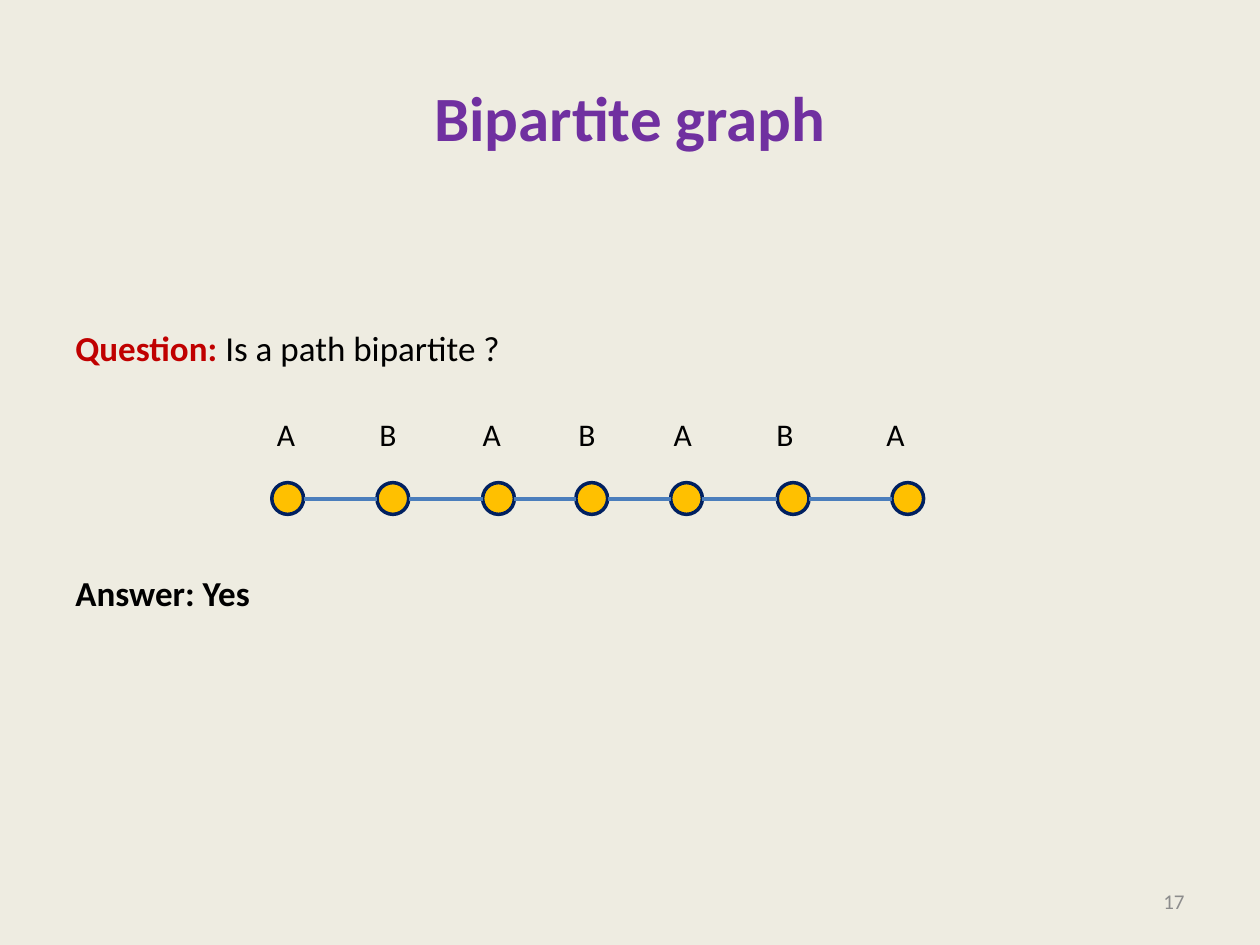
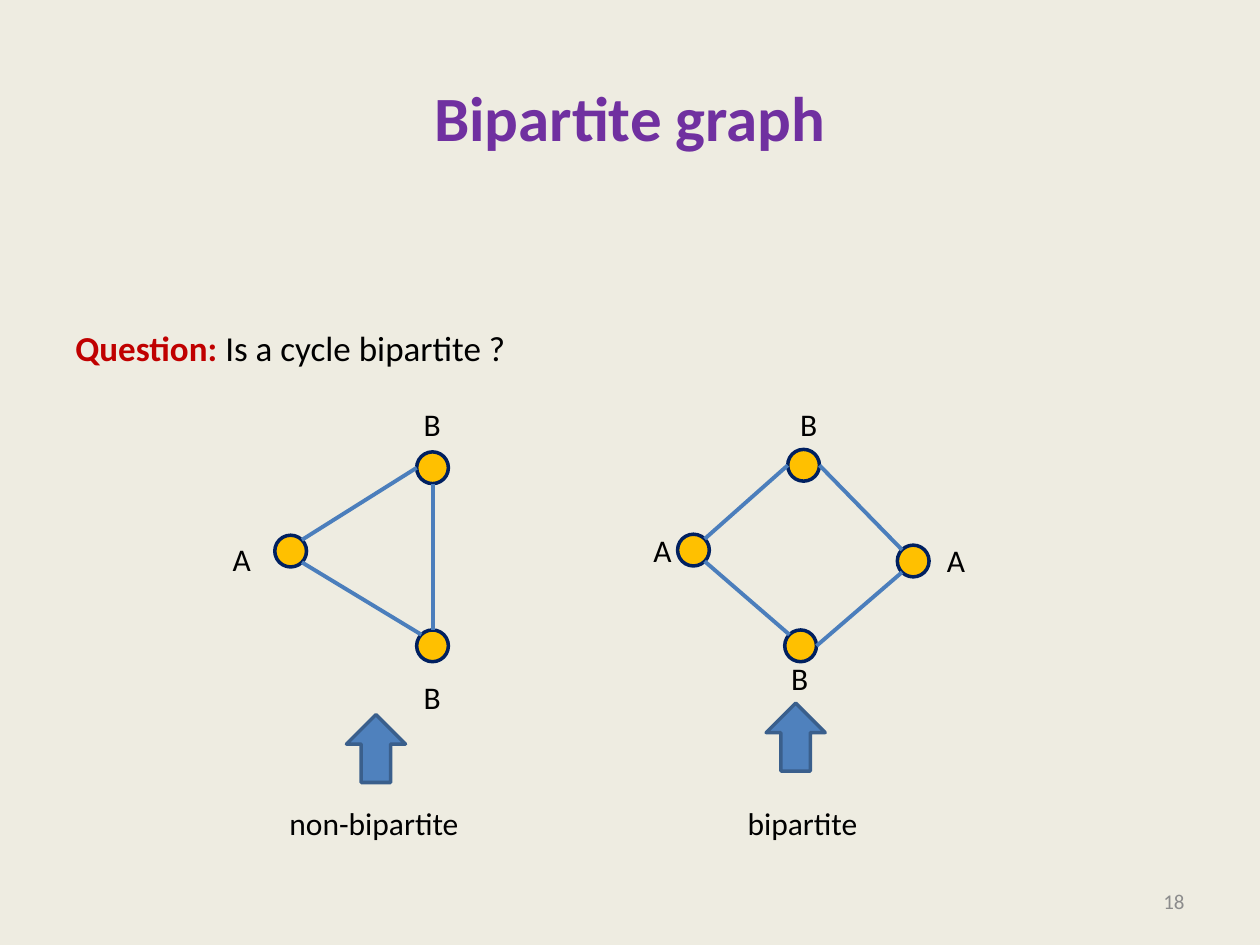
from math import cos, pi, sin

from lxml.etree import SubElement
from pptx import Presentation
from pptx.dml.color import RGBColor
from pptx.enum.shapes import MSO_CONNECTOR, MSO_SHAPE
from pptx.enum.text import MSO_ANCHOR, PP_ALIGN
from pptx.oxml.ns import qn
from pptx.util import Cm, Pt

# Shared style
FONT = "Calibri"
BACKGROUND, TITLE_COLOR, TEXT_COLOR = "EEECE1", "7030A0", "000000"
QUESTION_COLOR, NUMBER_COLOR = "C00000", "8C8C8C"
NODE_FILL, NODE_LINE, EDGE_COLOR = "FFC000", "002060", "4B7EBC"
ARROW_FILL, ARROW_LINE = "4F81BD", "3A5F8C"
NODE_SIZE, LABEL_HEIGHT = 0.64, 1.02
ARROW_WIDTH, ARROW_HEIGHT = 1.19, 1.37
TEXT_LEFT, TEXT_WIDTH = 1.27, 22.86

# Connection sites of an ellipse, counted anticlockwise from the top
TOP, TOP_LEFT, LEFT, BOTTOM_LEFT, BOTTOM, BOTTOM_RIGHT, RIGHT, TOP_RIGHT = range(8)

# Content: nodes and labels by centre in cm; edges as (node, site, node, site)
PATH_Y, PATH_LABEL_Y = 10.05, 8.76
PATH_NODES = [5.8, 7.92, 10.05, 11.93, 13.84, 15.99, 18.3]
PATH_LABELS = [5.73, 7.8, 9.88, 11.81, 13.73, 15.8, 18.02]

PATH = {
    "nodes": [(x, PATH_Y) for x in PATH_NODES],
    "labels": [("AB"[i % 2], x, PATH_LABEL_Y) for i, x in enumerate(PATH_LABELS)],
    "edges": [(i, RIGHT, i + 1, LEFT) for i in range(len(PATH_NODES) - 1)],
}
TRIANGLE = {
    "nodes": [(5.86, 11.11), (8.72, 9.43), (8.72, 13.02)],
    "labels": [("A", 4.84, 11.28), ("B", 8.69, 8.56), ("B", 8.69, 14.05)],
    "edges": [(0, TOP_RIGHT, 1, LEFT), (0, BOTTOM_RIGHT, 2, TOP_LEFT),
              (1, BOTTOM, 2, TOP)],
    "arrow": (7.58, 15.09),
    "caption": ("non-bipartite", 7.54, 16.59),
}
SQUARE = {
    "nodes": [(13.98, 11.09), (16.2, 9.38), (16.14, 13.02), (18.41, 11.31)],
    "labels": [("A", 13.32, 11.1), ("B", 16.28, 8.56), ("B", 16.1, 13.67),
               ("A", 19.24, 11.3)],
    "edges": [(0, BOTTOM_RIGHT, 2, TOP_LEFT), (0, TOP_RIGHT, 1, LEFT),
              (1, RIGHT, 3, TOP_LEFT), (3, BOTTOM_LEFT, 2, RIGHT)],
    "arrow": (16.04, 14.86),
    "caption": ("bipartite", 16.18, 16.59),
}
SLIDES = [
    {"number": "17", "question": "Is a path bipartite ?",
     "answer": "Answer: Yes", "graphs": [PATH]},
    {"number": "18", "question": "Is a cycle bipartite ?",
     "graphs": [TRIANGLE, SQUARE]},
]


def color(hex_string):
    return RGBColor.from_string(hex_string)


def style(font, size, hex_string=TEXT_COLOR, bold=False):
    font.name, font.size, font.bold = FONT, Pt(size), bold
    font.color.rgb = color(hex_string)


def add_text(slide, text, left, top, width, size, hex_string=TEXT_COLOR,
             bold=False, align=PP_ALIGN.LEFT, wrap=True):
    box = slide.shapes.add_textbox(Cm(left), Cm(top), Cm(width), Cm(LABEL_HEIGHT))
    box.text_frame.word_wrap = wrap
    paragraph = box.text_frame.paragraphs[0]
    paragraph.text, paragraph.alignment = text, align
    style(paragraph.font, size, hex_string, bold)
    return box


def add_label(slide, text, x, y):
    width = 0.5 + 0.3 * len(text)
    add_text(slide, text, x - width / 2, y - LABEL_HEIGHT / 2, width, 18,
             align=PP_ALIGN.CENTER, wrap=False)


def add_centered_shape(slide, kind, x, y, width, height, fill, line):
    shape = slide.shapes.add_shape(kind, Cm(x - width / 2), Cm(y - height / 2),
                                   Cm(width), Cm(height))
    shape.shadow.inherit = False
    shape.fill.solid()
    shape.fill.fore_color.rgb = color(fill)
    shape.line.color.rgb = color(line)
    shape.line.width = Pt(2)
    return shape


def site_point(center, site):
    angle = pi / 2 + site * pi / 4
    return (Cm(center[0] + NODE_SIZE / 2 * cos(angle)),
            Cm(center[1] - NODE_SIZE / 2 * sin(angle)))


def add_edge(slide, centers, nodes, edge):
    start, start_site, end, end_site = edge
    connector = slide.shapes.add_connector(
        MSO_CONNECTOR.STRAIGHT, *site_point(centers[start], start_site),
        *site_point(centers[end], end_site))
    connector.line.color.rgb = color(EDGE_COLOR)
    connector.line.width = Pt(2.25)
    SubElement(connector.element.spPr, qn("a:effectLst"))
    # Glue both ends to their nodes
    glue = connector.element.find(".//" + qn("p:cNvCxnSpPr"))
    for tag, node, site in (("a:stCxn", start, start_site), ("a:endCxn", end, end_site)):
        SubElement(glue, qn(tag), id=str(nodes[node].shape_id), idx=str(site))


def add_graph(slide, graph):
    centers = graph["nodes"]
    nodes = [add_centered_shape(slide, MSO_SHAPE.OVAL, x, y, NODE_SIZE, NODE_SIZE,
                                NODE_FILL, NODE_LINE) for x, y in centers]
    for edge in graph["edges"]:
        add_edge(slide, centers, nodes, edge)
    for label in graph["labels"]:
        add_label(slide, *label)
    if "caption" in graph:
        add_centered_shape(slide, MSO_SHAPE.UP_ARROW, *graph["arrow"], ARROW_WIDTH,
                           ARROW_HEIGHT, ARROW_FILL, ARROW_LINE)
        add_label(slide, *graph["caption"])


def add_slide(presentation, content):
    slide = presentation.slides.add_slide(presentation.slide_layouts[5])

    # Title
    title = slide.shapes.title
    title.left, title.top, title.width, title.height = Cm(1.27), Cm(0.76), Cm(22.86), Cm(3.18)
    title.text_frame.text = "Bipartite graph"
    title.text_frame.vertical_anchor = MSO_ANCHOR.MIDDLE
    paragraph = title.text_frame.paragraphs[0]
    paragraph.alignment = PP_ALIGN.CENTER
    style(paragraph.font, 36, TITLE_COLOR, True)

    # Question and answer
    question = add_text(slide, "Question: ", TEXT_LEFT, 6.45, TEXT_WIDTH, 20,
                        QUESTION_COLOR, True)
    run = question.text_frame.paragraphs[0].add_run()
    run.text = content["question"]
    style(run.font, 20)
    if "answer" in content:
        add_text(slide, content["answer"], TEXT_LEFT, 11.39, TEXT_WIDTH, 20, bold=True)

    # Graphs and slide number
    for graph in content["graphs"]:
        add_graph(slide, graph)
    number = add_text(slide, content["number"], 18.2, 17.66, 5.93, 12, NUMBER_COLOR,
                      align=PP_ALIGN.RIGHT)
    number.text_frame.vertical_anchor = MSO_ANCHOR.MIDDLE


def main():
    presentation = Presentation()
    presentation.slide_width, presentation.slide_height = Cm(25.4), Cm(19.05)
    background = presentation.slide_master.background.fill
    background.solid()
    background.fore_color.rgb = color(BACKGROUND)
    for content in SLIDES:
        add_slide(presentation, content)
    presentation.save("out.pptx")


if __name__ == "__main__":
    main()
